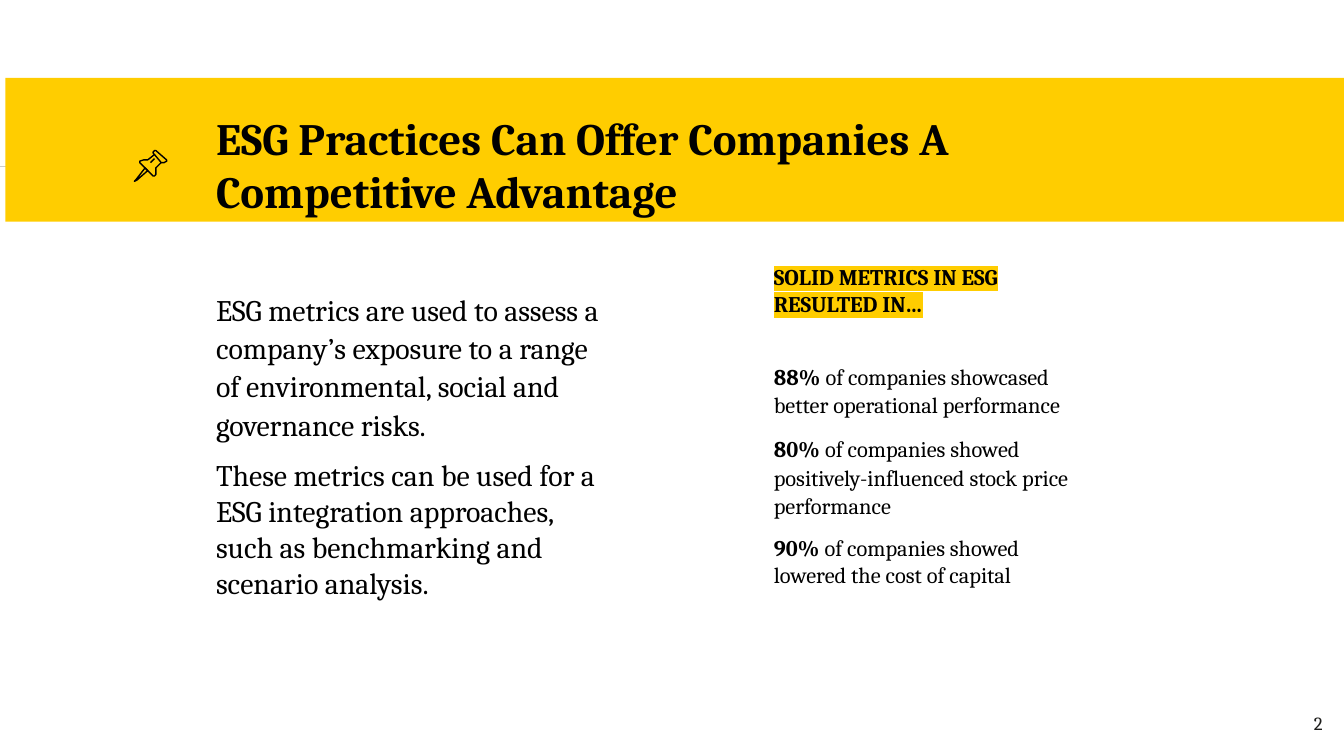
import dataclasses
import pptx
import pptx.util
import pptx.dml.color
import pptx.enum.shapes
import pptx.enum.text
import pptx.oxml
import pptx.oxml.ns
import lxml.etree


@dataclasses.dataclass(frozen=True)
class Theme:
    """Colours, font and type sizes."""
    gold: str = "FFCD00"
    ink: str = "000000"
    soft: str = "1D1D1B"
    rule: str = "CCCCCC"
    font: str = "Cambria"
    title: int = 24
    body: int = 16
    note: int = 12
    page: int = 10
    line: float = 0.75


def tint(code):
    """Turn a hex code into a colour."""
    return pptx.dml.color.RGBColor.from_string(code)


def mark(parent, tag, **attrs):
    """Append a drawing element."""
    return lxml.etree.SubElement(parent, pptx.oxml.ns.qn(tag), **attrs)


def write(para, text, size, font, color, bold=False, light=None):
    """Add one formatted run to a paragraph."""
    run = para.add_run()
    run.text = text
    run.font.size = pptx.util.Pt(size)
    run.font.bold = bold
    run.font.color.rgb = tint(color)
    if light:
        mark(mark(run.font._element, "a:highlight"), "a:srgbClr", val=light)
    run.font.name = font


class Deck:
    """Holds the theme and slide, on a 16:9 grid of 100 columns by 56.25 rows."""

    def __init__(self, theme, wide=10):
        """Start a deck with one blank slide."""
        self.theme = theme
        self.file = pptx.Presentation()
        self.file.slide_width = pptx.util.Inches(wide)
        self.file.slide_height = pptx.util.Inches(wide * 9 / 16)
        self.unit = self.file.slide_width / 100
        self.slide = self.file.slides.add_slide(self.file.slide_layouts[6])

    def grid(self, *cells):
        """Turn grid cells into lengths."""
        return [pptx.util.Emu(round(cell * self.unit)) for cell in cells]

    def line(self, *ends):
        """Draw a thin rule."""
        kind = pptx.enum.shapes.MSO_CONNECTOR.STRAIGHT
        rule = self.slide.shapes.add_connector(kind, *self.grid(*ends))
        rule.line.color.rgb = tint(self.theme.rule)
        rule.line.width = pptx.util.Pt(self.theme.line)
        mark(rule._element.spPr, "a:effectLst")

    def band(self, *box):
        """Draw a filled band."""
        kind = pptx.enum.shapes.MSO_SHAPE.RECTANGLE
        band = self.slide.shapes.add_shape(kind, *self.grid(*box))
        band.shadow.inherit = False
        band.fill.solid()
        band.fill.fore_color.rgb = tint(self.theme.gold)
        band.line.fill.background()

    def icon(self, paths):
        """Group outlines given in tenths of a cell, with a closed flag."""
        group = self.slide.shapes.add_group_shape()
        for shut, dots in paths:
            pen = group.shapes.build_freeform(*dots[0], scale=self.unit / 10)
            pen.add_line_segments(dots[1:], close=shut)
            part = pen.convert_to_shape()
            part.shadow.inherit = False
            part.fill.background()
            part.line.color.rgb = tint(self.theme.ink)
            part.line.width = pptx.util.Pt(self.theme.line)

    def text(self, box, paras, size, color=None, mid=False, right=False):
        """Place paragraphs, each a list of runs and its spacing."""
        frame = self.slide.shapes.add_textbox(*self.grid(*box)).text_frame
        frame.word_wrap = True
        frame.margin_left = frame.margin_right = self.grid(1)[0]
        frame.margin_top = frame.margin_bottom = self.grid(1)[0]
        if mid:
            frame.vertical_anchor = pptx.enum.text.MSO_ANCHOR.MIDDLE
        for spot, (runs, lead, after) in enumerate(paras):
            para = frame.add_paragraph() if spot else frame.paragraphs[0]
            para.line_spacing = lead
            para.space_after = pptx.util.Pt(after)
            if right:
                para.alignment = pptx.enum.text.PP_ALIGN.RIGHT
            for words, style in runs:
                write(para, words, size, self.theme.font,
                      color or self.theme.ink, **style)


def main():
    """Build the slide and save it."""
    theme = Theme()
    deck = Deck(theme)
    plain, bold = {}, {"bold": True}

    deck.line(0, 12.4, 15, 12.4)
    deck.band(0.4, 5.8, 100, 10.7)
    title = "ESG Practices Can Offer Companies A Competitive Advantage"
    deck.text((15.1, 9.8, 64.4, 4.8), [([(title, bold)], None, 0)],
              theme.title, mid=True)

    needle = [(108, 125), (101, 134), (100, 135), (102, 134), (110, 127)]
    cap = [(115, 115), (120, 121), (122, 121), (124, 120), (124, 119),
           (116, 112), (115, 112), (114, 113), (114, 114)]
    grip = [(115, 115), (110, 119), (107, 119), (104, 120), (104, 121),
            (114, 131), (115, 131), (116, 130), (116, 125), (120, 121)]
    shine = [(112, 121), (115, 118)]
    deck.icon([(True, needle), (True, cap), (False, grip), (False, shine)])

    risks = ("ESG metrics are used to assess a company’s exposure to a range "
             "of environmental, social and governance risks.")
    uses = ("These metrics can be used for a ESG integration approaches, "
            "such as benchmarking and scenario analysis.")
    deck.text((15.1, 20.5, 30.7, 15.1),
              [([(risks, plain)], 1.07, 8), ([(uses, plain)], None, 0)],
              theme.body)

    head = ("SOLID METRICS IN ESG RESULTED IN…",
            {"bold": True, "light": theme.gold})
    facts = [
        ("88%", " of companies showcased better operational performance",
         1.07, 8),
        ("80%", " of companies showed positively-influenced stock price "
         "performance", 1.07, 8),
        ("90%", " of companies showed lowered the cost of capital", None, 0),
    ]
    rows = [([(share, bold), (claim, plain)], lead, after)
            for share, claim, lead, after in facts]
    deck.text((56.6, 18.6, 24.6, 24.1), [([head], None, 23.4)] + rows,
              theme.note)
    deck.text((93.4, 52.1, 6, 4.15), [([("2", plain)], None, 0)],
              theme.page, color=theme.soft, right=True)
    deck.file.save("out.pptx")


if __name__ == "__main__":
    main()
